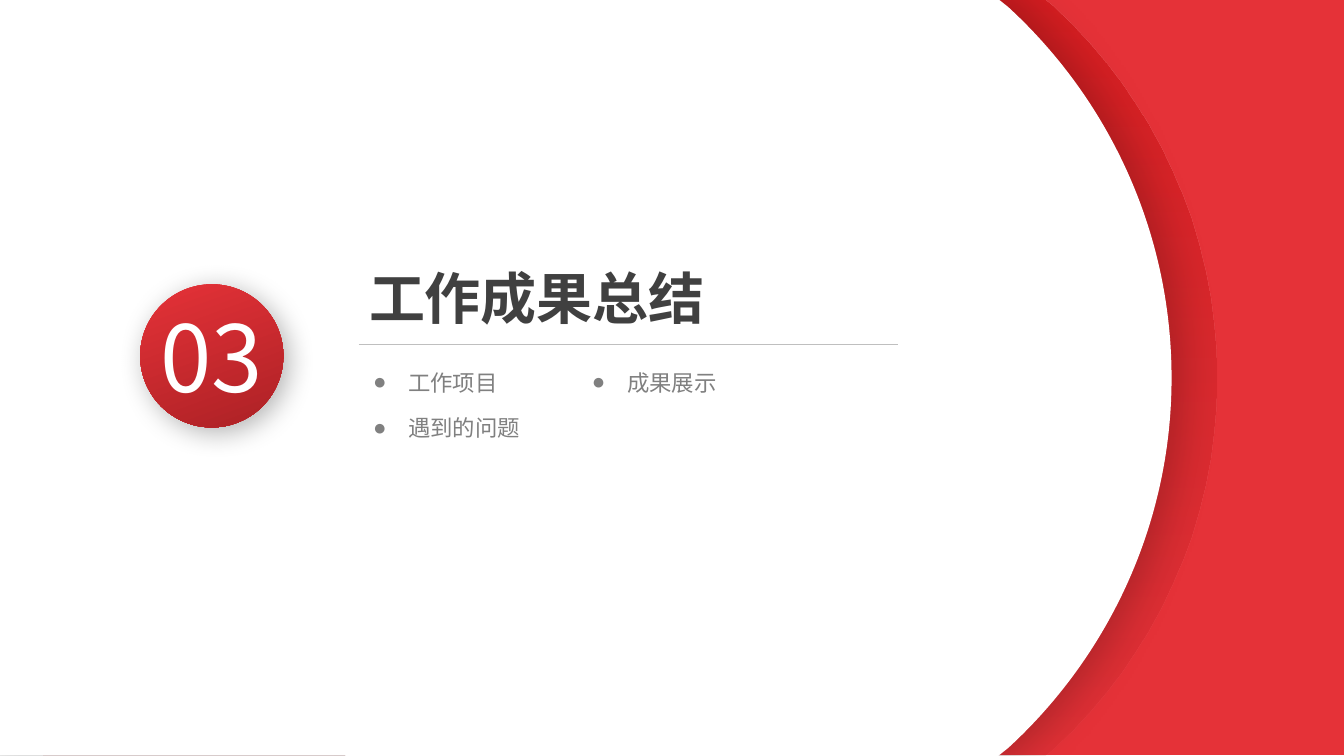
import lxml.etree
import pptx
import pptx.dml.color
import pptx.enum.shapes
import pptx.enum.text
import pptx.oxml.ns
import pptx.util
from pptx.util import Inches

RGBColor = pptx.dml.color.RGBColor
WHITE = RGBColor(0xFF, 0xFF, 0xFF)
BLACK = RGBColor(0x00, 0x00, 0x00)
RED = RGBColor(0xE5, 0x32, 0x38)
DEEP_RED = RGBColor(0xC0, 0x00, 0x00)
DARK_RED = RGBColor(0xAC, 0x21, 0x25)
TITLE_GREY = RGBColor(0x40, 0x40, 0x40)
LIST_GREY = RGBColor(0x80, 0x80, 0x80)
RULE_GREY = RGBColor(0xBF, 0xBF, 0xBF)

qn = pptx.oxml.ns.qn


def add_child(parent, tag, **attributes):
    child = lxml.etree.SubElement(parent, qn(tag))
    for name, value in attributes.items():
        child.set(name, str(value))
    return child


def set_gradient(shape, colors, angle, alphas=()):
    shape.fill.gradient()
    shape.fill.gradient_angle = 360 - angle
    for stop, color in zip(shape.fill.gradient_stops, colors):
        stop.color.rgb = color
    color_elements = shape._element.spPr.iter(qn("a:srgbClr"))
    for element, alpha in zip(color_elements, alphas):
        add_child(element, "a:alpha", val=alpha * 1000)


def set_shadow(shape, alpha, blur, distance, angle, scale=100):
    effects = shape._element.spPr.find(qn("a:effectLst"))
    shadow = add_child(effects, "a:outerShdw", blurRad=pptx.util.Pt(blur),
                       dist=pptx.util.Pt(distance), dir=angle * 60000,
                       sx=scale * 1000, sy=scale * 1000, algn="ctr", rotWithShape=0)
    color = add_child(shadow, "a:srgbClr", val=BLACK)
    add_child(color, "a:alpha", val=alpha * 1000)


def bend_segments(shape, first, count):
    lines = list(shape._element.spPr.iter(qn("a:lnTo")))
    for start in range(first, first + 3 * count, 3):
        curve = lxml.etree.Element(qn("a:cubicBezTo"))
        lines[start].addprevious(curve)
        for line in lines[start:start + 3]:
            curve.append(line[0])
            line.getparent().remove(line)


def add_curved_panel(slide, left, top):
    straight = [(0, 0), (0, 7.5), (3.44, 7.5), (3.45, 7.51), (9.92, 7.51), (10.02, 7.43)]
    curved = [(11.01, 6.52), (11.64, 5.21), (11.64, 3.76),
              (11.64, 2.3), (11.01, 0.99), (10.02, 0.08)]
    points = [(Inches(left + x), Inches(top + y))
              for x, y in straight + curved + [(9.92, 0)]]
    builder = slide.shapes.build_freeform(*points[0], scale=1.0)
    builder.add_line_segments(points[1:], close=True)
    panel = builder.convert_to_shape()
    bend_segments(panel, len(straight) - 1, 2)
    panel.shadow.inherit = False
    panel.line.fill.background()
    return panel


def add_backdrop(slide, left, top, width, height):
    side = slide.shapes.add_shape(pptx.enum.shapes.MSO_SHAPE.RECTANGLE,
                                  Inches(left + width - 3.8), Inches(top),
                                  Inches(3.8), Inches(height))
    side.shadow.inherit = False
    side.fill.solid()
    side.fill.fore_color.rgb = RED
    side.line.fill.background()

    shade = add_curved_panel(slide, left + 0.43, top)
    set_gradient(shade, (DEEP_RED, DARK_RED), 90, (41, 10))

    page = add_curved_panel(slide, left - 0.02, top)
    page.fill.solid()
    page.fill.fore_color.rgb = WHITE
    set_shadow(page, 20, 29, 0, 0, 102)


def place_text(placeholder, left, top, width, height, text, size, color, bold):
    placeholder._element.getparent().append(placeholder._element)
    placeholder.left, placeholder.top = Inches(left), Inches(top)
    placeholder.width, placeholder.height = Inches(width), Inches(height)
    frame = placeholder.text_frame
    frame.text = text
    frame.word_wrap = False
    frame.auto_size = pptx.enum.text.MSO_AUTO_SIZE.NONE
    frame.vertical_anchor = pptx.enum.text.MSO_ANCHOR.TOP
    paragraph = frame.paragraphs[0]
    paragraph.alignment = pptx.enum.text.PP_ALIGN.LEFT
    paragraph.space_before = pptx.util.Pt(0)
    paragraph.font.name = "Calibri"
    paragraph.font.size = pptx.util.Pt(size)
    paragraph.font.bold = bold
    paragraph.font.color.rgb = color
    return paragraph


def place_bullet(placeholder, left, top, width, text):
    paragraph = place_text(placeholder, left, top, width, 0.37, text, 16, LIST_GREY, False)
    properties = paragraph._p.get_or_add_pPr()
    properties.set("marL", str(Inches(0.62)))
    properties.set("indent", str(Inches(-0.35)))
    bullet = lxml.etree.Element(qn("a:buChar"), char="●")
    properties.find(qn("a:spcBef")).addnext(bullet)


def add_section_text(slide, left, top, width):
    title, first, second, third, spare = slide.placeholders
    spare._element.getparent().remove(spare._element)
    place_text(title, left, top, 3.57, 0.77, "工作成果总结", 40, TITLE_GREY, True)

    rule = slide.shapes.add_connector(pptx.enum.shapes.MSO_CONNECTOR.STRAIGHT,
                                      Inches(left), Inches(top + 0.86),
                                      Inches(left + width), Inches(top + 0.86))
    rule.line.color.rgb = RULE_GREY
    rule.line.width = pptx.util.Pt(1)
    add_child(rule._element.spPr, "a:effectLst")

    list_left, list_top = left - 0.23, top + 1.05
    place_bullet(first, list_left, list_top, 1.73, "工作项目")
    place_bullet(second, list_left, list_top + 0.45, 1.96, "遇到的问题")
    place_bullet(third, list_left + 2.17, list_top, 1.73, "成果展示")


def add_number_badge(slide, left, top, size):
    badge = slide.shapes.add_shape(pptx.enum.shapes.MSO_SHAPE.OVAL, Inches(left),
                                   Inches(top), Inches(size), Inches(size))
    badge.shadow.inherit = False
    badge.line.fill.background()
    set_gradient(badge, (RED, DARK_RED), 70)
    set_shadow(badge, 30, 20, 5, 45)
    frame = badge.text_frame
    frame.text = "03"
    frame.word_wrap = False
    frame.vertical_anchor = pptx.enum.text.MSO_ANCHOR.MIDDLE
    paragraph = frame.paragraphs[0]
    paragraph.alignment = pptx.enum.text.PP_ALIGN.CENTER
    paragraph.font.name = "Noto Sans CJK SC"
    paragraph.font.size = pptx.util.Pt(66)
    paragraph.font.color.rgb = WHITE


def main():
    presentation = pptx.Presentation()
    presentation.slide_width = Inches(13.33)
    presentation.slide_height = Inches(7.5)
    slide = presentation.slides.add_slide(presentation.slide_layouts.get_by_name("Comparison"))
    add_backdrop(slide, 0, -0.01, 13.33, 7.5)
    add_section_text(slide, 3.56, 2.56, 5.35)
    add_number_badge(slide, 1.39, 2.82, 1.42)
    presentation.save("out.pptx")


if __name__ == "__main__":
    main()
